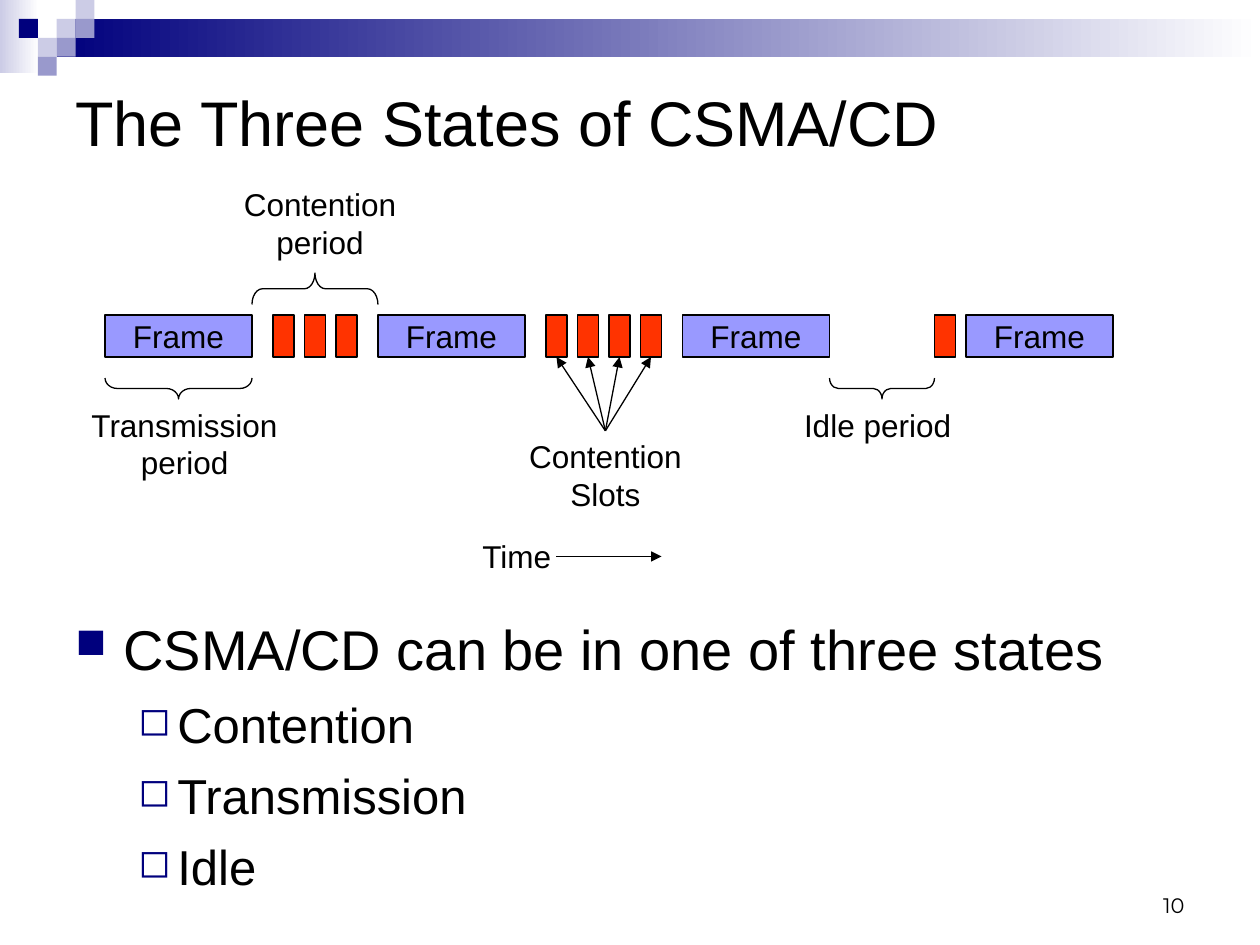
from dataclasses import dataclass
from lxml.etree import SubElement
from pptx import Presentation
from pptx.dml.color import RGBColor
from pptx.enum.shapes import MSO_CONNECTOR, MSO_SHAPE
from pptx.enum.text import MSO_ANCHOR, PP_ALIGN
from pptx.oxml.ns import qn
from pptx.shapes.autoshape import Shape
from pptx.shapes.connector import Connector
from pptx.util import Inches, Length, Pt

BLACK, NAVY, LAVENDER, PALE = "000000", "00007D", "9999CC", "CCCCE6"
FRAME_FILL, SLOT_FILL, WHITE = "9999FF", "FF3300", "FFFFFF"
TILE = 0.15


@dataclass
class Tile:
    column: int
    row: int
    color: str


@dataclass
class Brace:
    left: float
    top: float
    span: float
    depth: float
    rotation: int


@dataclass
class Label:
    text: str
    left: float
    top: float
    width: float
    height: float = 0.7


@dataclass
class Bullet:
    text: str
    size: int
    mark: str
    mark_percent: int
    margin: float
    hanging: float
    before: int


TILES = [
    Tile(3, 1, PALE), Tile(4, 0, PALE), Tile(4, 1, LAVENDER), Tile(2, 2, PALE),
    Tile(1, 1, NAVY), Tile(3, 2, LAVENDER), Tile(2, 3, LAVENDER),
]
FRAMES = [10, 36, 65, 92]
EARLY_SLOTS = [26, 29, 32]
MARKED_SLOTS = [52, 55, 58, 61]
LATE_SLOTS = [89]
BRACES = [Brace(10, 36, 14, 2, 90), Brace(24, 26, 12, 3, 270), Brace(79, 36, 10, 2, 90)]
LABELS = [
    Label("Transmission period", 0.58, 3.17, 1.77),
    Label("Contention period", 1.83, 1.42, 1.42),
    Label("Idle period", 6.08, 3.17, 1.77, 0.4),
]
BULLETS = [Bullet("CSMA/CD can be in one of three states", 32, "■", 75, 0.38, 0.38, 0)] + [
    Bullet(state, 28, "◻", 80, 0.81, 0.31, 7)
    for state in ("Contention", "Transmission", "Idle")
]


def rgb(color: str) -> RGBColor:
    return RGBColor.from_string(color)


def grid(count: float) -> Length:
    return Inches(count / 12)


def add_span(para, text: str, size: float, font: str = "Arial") -> None:
    span = para.add_run()
    span.text = text
    span.font.size = Pt(size)
    span.font.name = font
    span.font.color.rgb = rgb(BLACK)


def write(box: Shape, text: str, *, size: float = 18, font: str = "Arial",
          align=PP_ALIGN.CENTER, anchor=MSO_ANCHOR.TOP, wrap: bool = True) -> None:
    frame = box.text_frame
    frame.word_wrap = wrap
    frame.vertical_anchor = anchor
    para = frame.paragraphs[0]
    para.alignment = align
    add_span(para, text, size, font)


def add_text(page, label: Label, **style) -> Shape:
    box = page.shapes.add_textbox(
        Inches(label.left), Inches(label.top), Inches(label.width), Inches(label.height))
    write(box, label.text, **style)
    return box


def add_block(page, left: Length, top: Length, width: Length, height: Length,
              color: str, *, fade: bool = False, outline: bool = False) -> Shape:
    block = page.shapes.add_shape(MSO_SHAPE.RECTANGLE, left, top, width, height)
    block.shadow.inherit = False
    if fade:
        block.fill.gradient()
        block.fill.gradient_angle = 0
        for stop, position, shade in zip(block.fill.gradient_stops, (0, 1), (color, WHITE)):
            stop.position = position
            stop.color.rgb = rgb(shade)
    else:
        block.fill.solid()
        block.fill.fore_color.rgb = rgb(color)
    if outline:
        block.line.color.rgb = rgb(BLACK)
        block.line.width = Pt(0.75)
    else:
        block.line.fill.background()
    return block


def add_slot(page, column: int) -> Shape:
    return add_block(page, grid(column), grid(30), grid(2), grid(4), SLOT_FILL, outline=True)


def add_brace(page, brace: Brace) -> None:
    left = brace.left + (brace.span - brace.depth) / 2
    top = brace.top + (brace.depth - brace.span) / 2
    shape = page.shapes.add_shape(
        MSO_SHAPE.RIGHT_BRACE, grid(left), grid(top), grid(brace.depth), grid(brace.span))
    shape.rotation = brace.rotation
    shape.adjustments[0] = brace.span / 12 / brace.depth
    shape.shadow.inherit = False
    shape.fill.background()
    shape.line.color.rgb = rgb(BLACK)
    shape.line.width = Pt(0.75)


def add_arrow(page, start_x: Length, start_y: Length, end_x: Length, end_y: Length) -> Connector:
    arrow = page.shapes.add_connector(MSO_CONNECTOR.STRAIGHT, start_x, start_y, end_x, end_y)
    arrow.line.color.rgb = rgb(BLACK)
    arrow.line.width = Pt(0.75)
    SubElement(arrow.line._get_or_add_ln(), qn("a:tailEnd"), type="triangle")
    SubElement(arrow._element.spPr, qn("a:effectLst"))
    return arrow


def add_bullets(page, bullets: list[Bullet]) -> None:
    box = page.shapes.add_textbox(Inches(0.5), Inches(4.83), Inches(9), Inches(2.42))
    frame = box.text_frame
    frame.word_wrap = True
    for index, bullet in enumerate(bullets):
        para = frame.add_paragraph() if index else frame.paragraphs[0]
        para.level = 1 if index else 0
        props = para._p.get_or_add_pPr()
        props.set("marL", str(Inches(bullet.margin)))
        props.set("indent", str(-Inches(bullet.hanging)))
        SubElement(SubElement(props, qn("a:buClr")), qn("a:srgbClr"), val=NAVY)
        SubElement(props, qn("a:buSzPct"), val=str(bullet.mark_percent * 1000))
        SubElement(props, qn("a:buChar"), char=bullet.mark)
        para.space_before = Pt(bullet.before)
        add_span(para, bullet.text, bullet.size)


def main() -> None:
    deck = Presentation()
    deck.slide_width, deck.slide_height = Inches(10), Inches(7.5)
    page = deck.slides.add_slide(deck.slide_layouts[6])

    add_block(page, Inches(0), Inches(0), Inches(0.31), Inches(0.58), PALE, fade=True)
    add_block(page, Inches(0.45), Inches(TILE), Inches(9.55), Inches(0.3), NAVY, fade=True)
    for tile in TILES:
        add_block(page, Inches(tile.column * TILE), Inches(tile.row * TILE),
                  Inches(TILE), Inches(TILE), tile.color)

    add_text(page, Label("10", 7.17, 6.83, 2.33, 0.5), size=12, font="Montserrat",
             align=PP_ALIGN.RIGHT, anchor=MSO_ANCHOR.BOTTOM)
    add_text(page, Label("The Three States of CSMA/CD", 0.5, 0.5, 8.75, 0.92), size=36,
             align=PP_ALIGN.LEFT, anchor=MSO_ANCHOR.MIDDLE)
    add_bullets(page, BULLETS)

    for column in FRAMES:
        block = add_block(page, grid(column), grid(30), grid(14), grid(4),
                          FRAME_FILL, outline=True)
        write(block, "Frame", anchor=MSO_ANCHOR.MIDDLE, wrap=False)
    for column in EARLY_SLOTS + LATE_SLOTS:
        add_slot(page, column)
    for brace in BRACES:
        add_brace(page, brace)
    for label in LABELS:
        add_text(page, label)

    slots_label = add_text(page, Label("Contention Slots", 3.92, 3.42, 1.77))
    for column in MARKED_SLOTS:
        slot = add_slot(page, column)
        arrow = add_arrow(page, Inches(4.8), Inches(3.42), grid(column + 1), grid(34))
        arrow.begin_connect(slots_label, 0)
        arrow.end_connect(slot, 2)

    add_arrow(page, grid(53), grid(53), grid(63), grid(53))
    add_text(page, Label("Time", 3.73, 4.21, 0.75, 0.4), align=PP_ALIGN.LEFT, wrap=False)
    deck.save("out.pptx")


if __name__ == "__main__":
    main()
